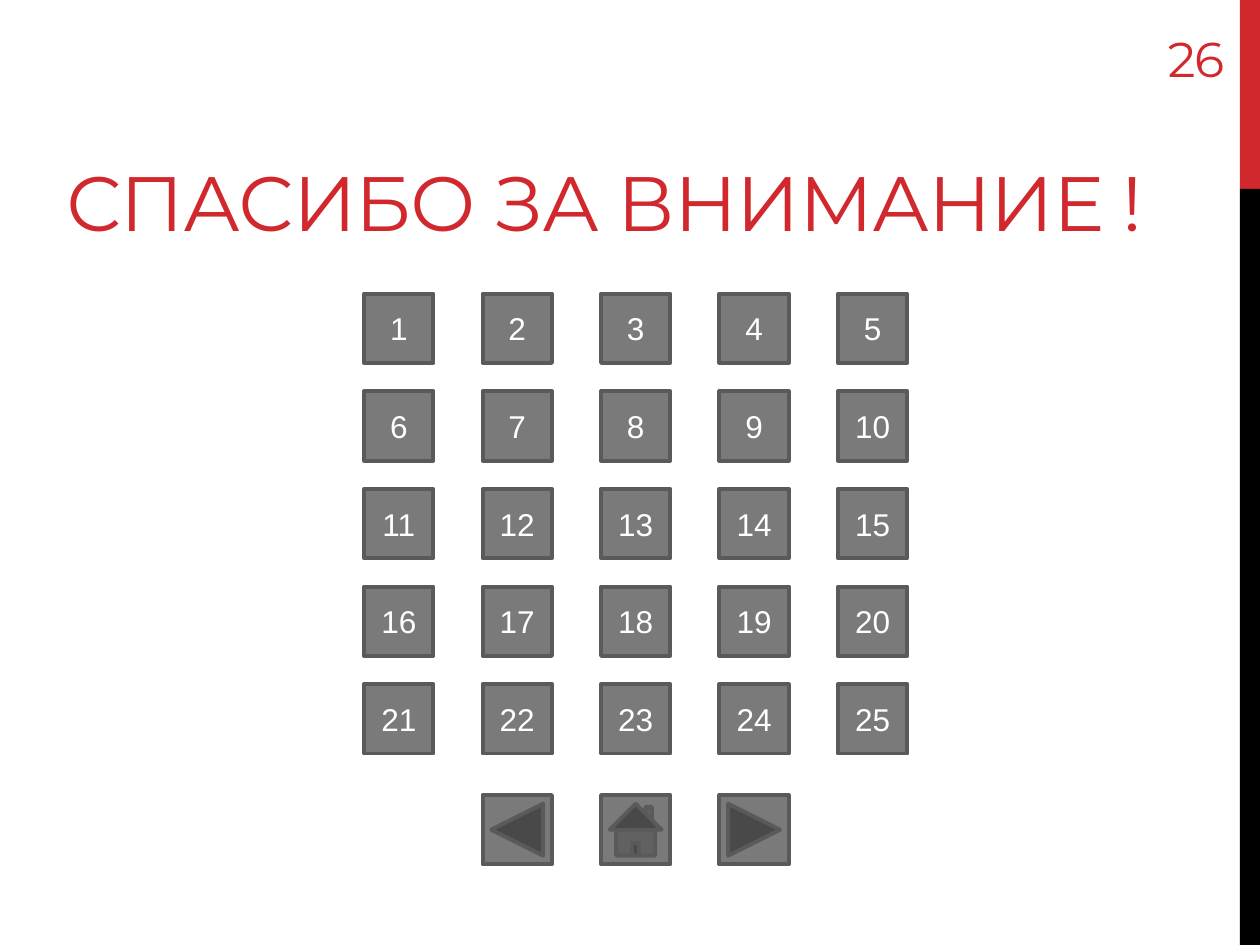
from pptx import Presentation
from pptx.dml.color import RGBColor
from pptx.enum.shapes import MSO_SHAPE
from pptx.enum.text import MSO_ANCHOR, MSO_AUTO_SIZE, PP_ALIGN
from pptx.util import Inches, Pt

RED = RGBColor(0xD1, 0x28, 0x2E)
BLACK = RGBColor(0, 0, 0)
WHITE = RGBColor(0xFF, 0xFF, 0xFF)
GREY = RGBColor(0x7A, 0x7A, 0x7A)
DARK_GREY = RGBColor(0x5A, 0x5A, 0x5A)
RECTANGLE = MSO_SHAPE.RECTANGLE
BLANK = MSO_SHAPE.ACTION_BUTTON_CUSTOM
BACK = MSO_SHAPE.ACTION_BUTTON_BACK_OR_PREVIOUS
HOME = MSO_SHAPE.ACTION_BUTTON_HOME
FORWARD = MSO_SHAPE.ACTION_BUTTON_FORWARD_OR_NEXT
LEFT, CENTER = PP_ALIGN.LEFT, PP_ALIGN.CENTER
MIDDLE, BOTTOM = MSO_ANCHOR.MIDDLE, MSO_ANCHOR.BOTTOM
NO_AUTOFIT = MSO_AUTO_SIZE.NONE

COLUMNS, ROWS = 5, 5
GRID_LEFT, GRID_TOP = 2.89, 2.33
COLUMN_STEP, ROW_STEP = 0.94, 0.775
BUTTON_SIZE = 0.55

prs = Presentation()
prs.slide_width, prs.slide_height = Inches(10), Inches(7.5)
slide = prs.slides.add_slide(prs.slide_layouts[5])


def add_filled(kind, left, top, width, height, fill):
    shape = slide.shapes.add_shape(
        kind, Inches(left), Inches(top), Inches(width), Inches(height))
    shape.shadow.inherit = False
    shape.fill.solid()
    shape.fill.fore_color.rgb = fill
    shape.line.fill.background()
    return shape


def write(shape, text, size, font, color, align, anchor):
    frame = shape.text_frame
    frame.vertical_anchor = anchor
    paragraph = frame.paragraphs[0]
    paragraph.alignment = align
    run = paragraph.add_run()
    run.text = text
    run.font.size = Pt(size)
    run.font.name = font
    run.font.color.rgb = color
    return run


# Side stripe
add_filled(RECTANGLE, 9.84, 0, 0.16, 1.5, RED)
add_filled(RECTANGLE, 9.84, 1.5, 0.16, 6, BLACK)

# Numbered buttons
buttons = []
for index in range(COLUMNS * ROWS):
    row, column = divmod(index, COLUMNS)
    button = add_filled(BLANK, GRID_LEFT + column * COLUMN_STEP,
                        GRID_TOP + row * ROW_STEP, BUTTON_SIZE, BUTTON_SIZE, GREY)
    write(button, str(index + 1), 18, "Arial", WHITE, CENTER, MIDDLE)
    buttons.append(button)

# Navigation buttons under the three middle columns
for column, kind in enumerate((BACK, HOME, FORWARD), start=1):
    buttons.append(add_filled(kind, GRID_LEFT + column * COLUMN_STEP, 6.31,
                              BUTTON_SIZE, BUTTON_SIZE, GREY))

for button in buttons:
    button.line.color.rgb = DARK_GREY
    button.line.width = Pt(2.25)

# Slide number and title
number = slide.shapes.add_textbox(Inches(9.17), Inches(0), Inches(0.71), Inches(0.73))
title = slide.shapes.title
title.left, title.top = Inches(0.43), Inches(0.96)
title.width, title.height = Inches(9.37), Inches(1.01)
for heading, text, size, inset in (
    (number, "26", 27.9, 0.04),
    (title, "СПАСИБО ЗА ВНИМАНИЕ !", 44, 0.01),
):
    heading.text_frame.word_wrap = True
    heading.text_frame.auto_size = NO_AUTOFIT
    heading.text_frame.margin_bottom = Inches(inset)
    run = write(heading, text, size, "Montserrat", RED, LEFT, BOTTOM)
    run.font._element.set("spc", "-60")

prs.save("out.pptx")
